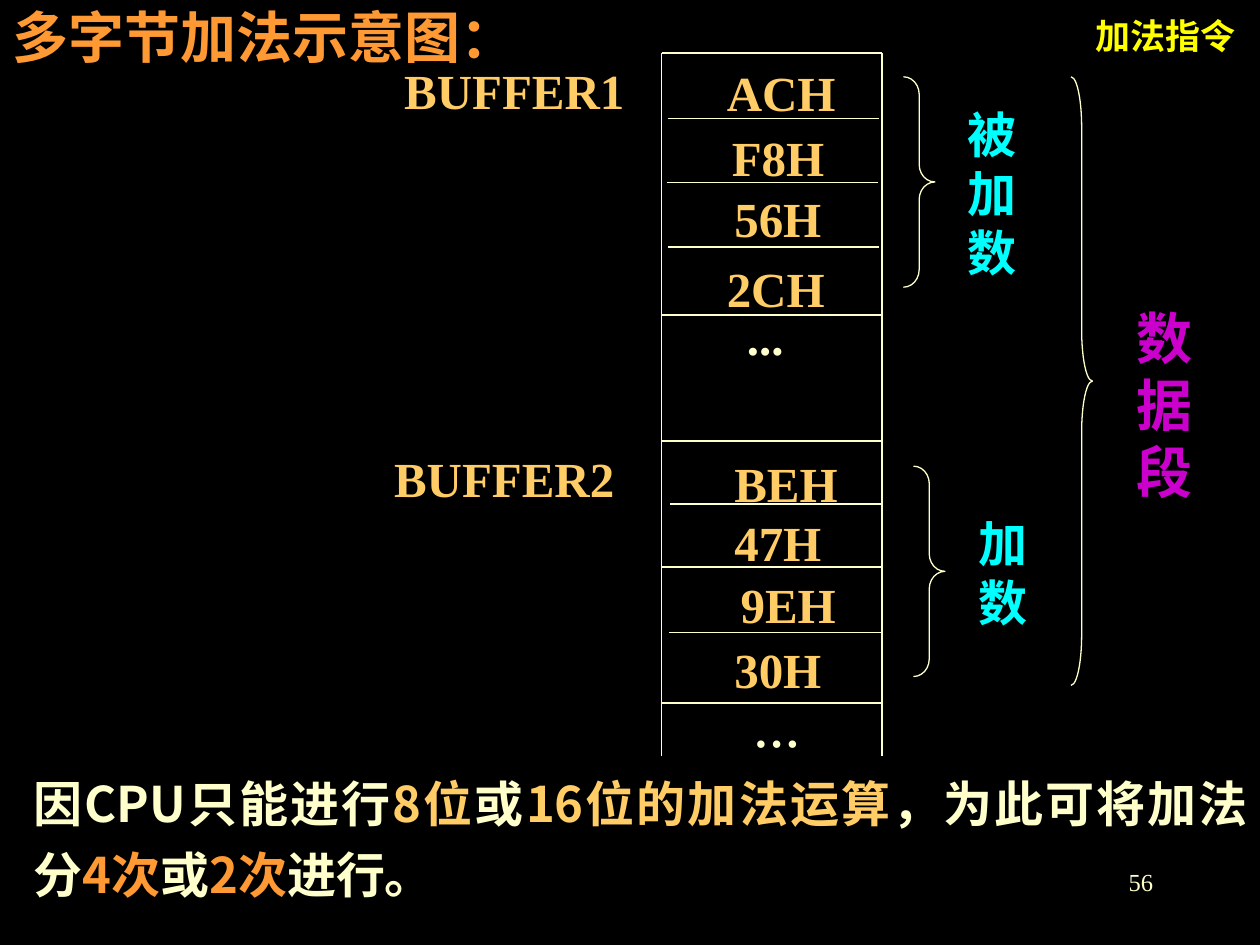
"""Builds the slide on multi-byte addition of two memory buffers."""
from lxml.etree import SubElement
from pptx import Presentation
from pptx.dml.color import RGBColor
from pptx.enum.shapes import MSO_CONNECTOR, MSO_SHAPE
from pptx.enum.text import MSO_ANCHOR, PP_ALIGN as AL
from pptx.oxml.ns import qn
from pptx.util import Inches, Pt

COLORS = {
    "black": "000000", "cream": "FFFFCC", "gold": "FFCC66", "orange": "FF9933",
    "yellow": "FFFF00", "cyan": "00FFFF", "purple": "CC00CC",
}
RGB = {name: RGBColor.from_string(value) for name, value in COLORS.items()}
SERIF, SANS = "Times New Roman", "Noto Sans CJK SC"

prs = Presentation()
prs.slide_width, prs.slide_height = Inches(10), Inches(7.5)
s = prs.slides.add_slide(prs.slide_layouts[6])
s.background.fill.solid()
s.background.fill.fore_color.rgb = RGB["black"]


def add_text(box, runs, size, color="gold", font=SERIF, bold=True, align=AL.LEFT):
    tf = s.shapes.add_textbox(*map(Inches, box)).text_frame
    tf.word_wrap = True
    p = tf.paragraphs[0]
    p.alignment = align
    p.font.size, p.font.bold, p.font.name = Pt(size), bold, font
    p.font.color.rgb = RGB[color]
    SubElement(p._p.pPr.find(qn("a:defRPr")), qn("a:ea"), typeface=SANS)
    for text, run_color in runs:
        r = p.add_run()
        r.text = text
        if run_color != color:
            r.font.color.rgb = RGB[run_color]
    return tf


def add_line(x1, y1, x2, y2, width):
    line = s.shapes.add_connector(MSO_CONNECTOR.STRAIGHT, *map(Inches, (x1, y1, x2, y2)))
    line.line.color.rgb = RGB["cream"]
    line.line.width = Pt(width)
    SubElement(line._element.spPr, qn("a:effectLst"))


title = add_text((8.5, 0, 1.5, 0.5), [("加法指令", "yellow")], 20, "yellow", SANS, align=AL.CENTER)
title.vertical_anchor = MSO_ANCHOR.BOTTOM
add_text((0, -0.03, 6.68, 0.64), [("多字节加法示意图：", "orange")], 32, "orange", SANS)
add_text((7.17, 6.83, 2.08, 0.5), [("56", "cream")], 14, "cream", bold=False, align=AL.RIGHT)

LEFT, RIGHT, TOP, BOTTOM = 5.25, 7, 0.42, 6
for x in (LEFT, RIGHT):
    add_line(x, TOP, x, BOTTOM, 1)
for y in (TOP, 2.5, 3.5, 4.5, 5.58):
    add_line(LEFT, y, RIGHT, y, 1)
for x, y in ((5.3, 0.94), (5.29, 1.45), (5.3, 1.96), (5.32, 4), (5.31, 5.02)):
    add_line(x, y, x + 1.68, y, 0.75)

for text, x, y in (
    ("ACH", 5.67, 0.45), ("F8H", 5.71, 0.96), ("56H", 5.73, 1.45), ("2CH", 5.67, 2),
    ("BEH", 5.73, 3.55), ("47H", 5.73, 4.02), ("9EH", 5.78, 4.51), ("30H", 5.73, 5.03),
):
    add_text((x, y, 1.17, 0.57), [(text, "gold")], 28)
for text, x, y in (("BUFFER1", 3.11, 0.43), ("BUFFER2", 3.03, 3.51)):
    add_text((x, y, 2, 0.57), [(text, "gold")], 28)
add_text((5.83, 2.38, 0.75, 0.57), [("...", "cream")], 28, "cream")
add_text((5.88, 5.38, 0.6, 0.7), [("...", "cream")], 36, "cream", bold=False)

for x, y, w, h in ((7.17, 0.61, 0.25, 1.67), (7.25, 3.7, 0.25, 1.67), (8.5, 0.61, 0.17, 4.83)):
    brace = s.shapes.add_shape(MSO_SHAPE.RIGHT_BRACE, *map(Inches, (x, y, w, h)))
    brace.adjustments[0] = h / 12 / w
    brace.shadow.inherit = False
    brace.fill.background()
    brace.line.color.rgb = RGB["cream"]
    brace.line.width = Pt(0.75)

for text, x, y, h, size, color in (
    ("被加数", 7.58, 0.78, 1.5, 28, "cyan"),
    ("加数", 7.67, 4.03, 1.04, 28, "cyan"),
    ("数据段", 8.92, 2.36, 1.7, 32, "purple"),
):
    add_text((x, y, 0.58, h), [(text, color)], size, color)

note = add_text((0.17, 6, 9.83, 1.25), [
    ("因CPU只能进行", "cream"), ("8位", "gold"), ("或", "cream"),
    ("16位的加法运算", "gold"), ("，为此可将加法分", "cream"), ("4次", "orange"),
    ("或", "cream"), ("2次", "orange"), ("进行。", "cream"),
], 28, "cream", SANS, align=AL.JUSTIFY)
note.paragraphs[0].line_spacing = 1.2

prs.save("out.pptx")
